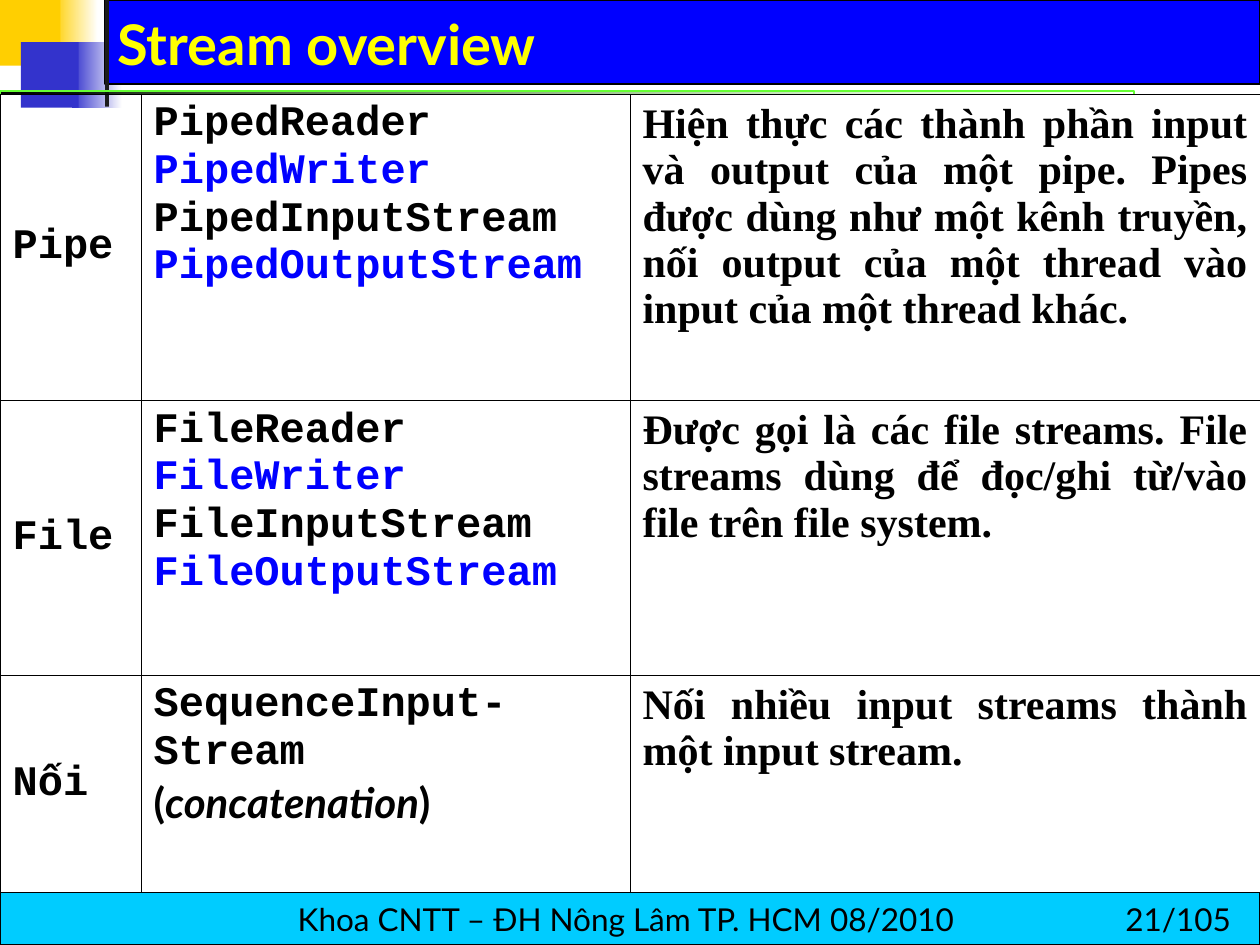
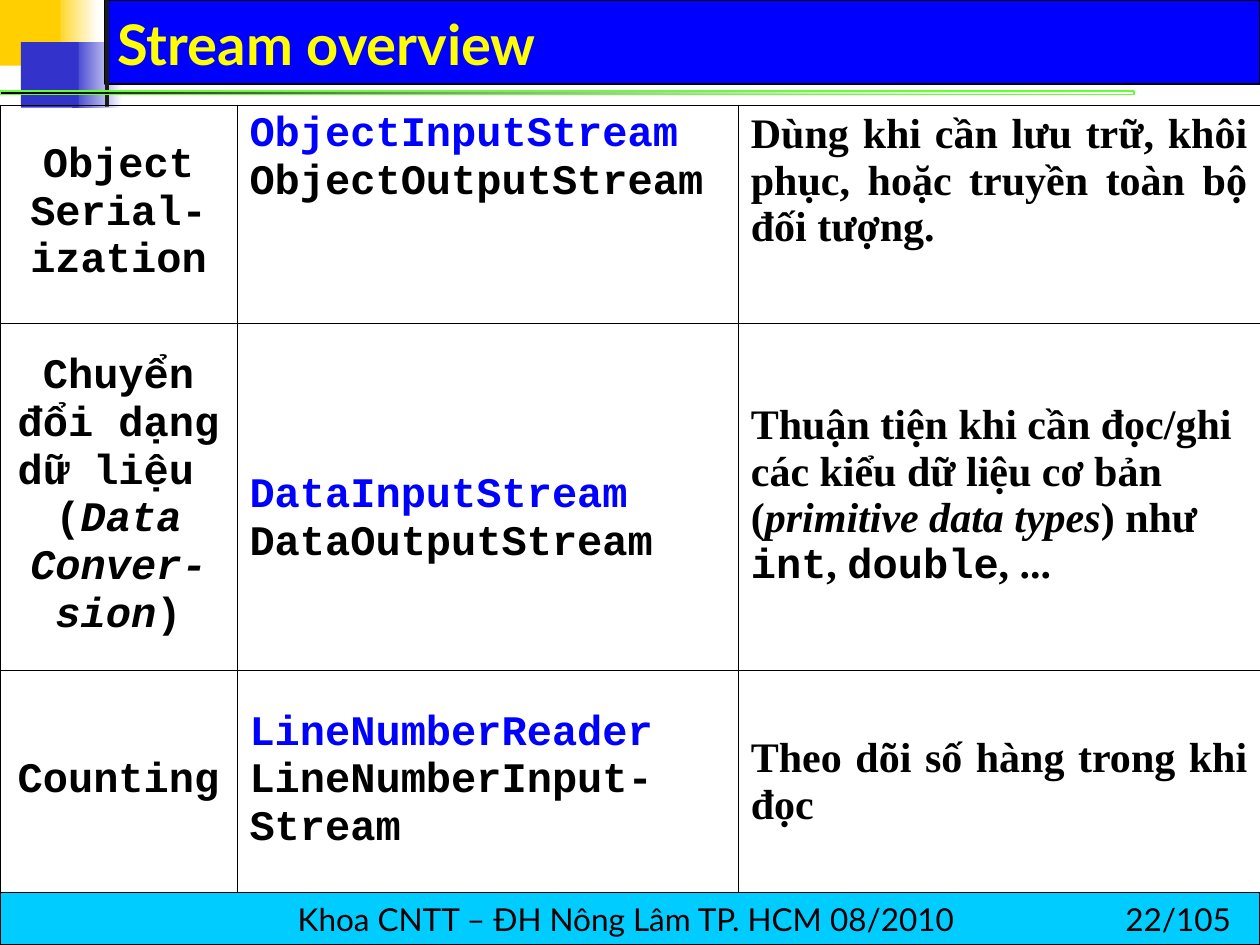
from lxml import etree
from pptx import Presentation
from pptx.dml.color import RGBColor
from pptx.enum.shapes import MSO_SHAPE
from pptx.enum.text import MSO_ANCHOR, PP_ALIGN
from pptx.oxml.ns import qn
from pptx.util import Pt

RECT = MSO_SHAPE.RECTANGLE
LEFT, CENTER, JUSTIFY = PP_ALIGN.LEFT, PP_ALIGN.CENTER, PP_ALIGN.JUSTIFY
TOP, MIDDLE, BOTTOM = MSO_ANCHOR.TOP, MSO_ANCHOR.MIDDLE, MSO_ANCHOR.BOTTOM

COLORS = {
    "black": "000000", "white": "FFFFFF", "blue": "0000FF", "yellow": "FFFF00",
    "gold": "FFCF01", "indigo": "3333CC", "charcoal": "1C1C1C",
    "green": "66FF33", "cyan": "00CCFF",
}
SANS, MONO, SERIF = "Lato", "Courier New", "Times New Roman"

# font, size, colour, bold, italic
STYLES = {
    "title": (SANS, 32, "yellow", True, False),
    "footer": (SANS, 18, "black", False, False),
    "code": (MONO, 24, "black", True, False),
    "code_blue": (MONO, 24, "blue", True, False),
    "code_italic": (MONO, 24, "black", True, True),
    "prose": (SERIF, 24, "black", True, False),
    "prose_italic": (SERIF, 24, "black", True, True),
    "sans": (SANS, 24, "black", True, False),
    "sans_italic": (SANS, 24, "black", True, True),
}

TITLE = "Stream overview"
FOOTER = "Khoa CNTT – ĐH Nông Lâm TP. HCM 08/2010 "
PAGE_COUNT = 105

# A cell is (alignment, anchor, paragraphs); a paragraph is a list of (text, style) runs.
PIPE_ROWS = [
    [(LEFT, MIDDLE, [[("Pipe", "code")]]),
     (LEFT, TOP, [[("PipedReader\n", "code"), ("PipedWriter", "code_blue")],
                  [("PipedInputStream\n", "code"), ("PipedOutputStream", "code_blue")]]),
     (JUSTIFY, TOP, [[("Hiện thực các thành phần input và output của một pipe. Pipes được "
                       "dùng như một kênh truyền, nối output của một thread vào input của "
                       "một thread khác.", "prose")]])],
    [(LEFT, MIDDLE, [[("File", "code")]]),
     (LEFT, TOP, [[("FileReader\n", "code"), ("FileWriter", "code_blue")],
                  [("FileInputStream\n", "code"), ("FileOutputStream", "code_blue")]]),
     (JUSTIFY, TOP, [[("Được gọi là các file streams. File streams dùng để đọc/ghi từ/vào "
                       "file trên file system.", "prose")]])],
    [(LEFT, MIDDLE, [[("Nối", "code")]]),
     (LEFT, TOP, [[("SequenceInput-\nStream", "code")],
                  [("(", "sans"), ("concatenation", "sans_italic"), (")", "sans")]]),
     (JUSTIFY, TOP, [[("Nối nhiều input streams thành một input stream.", "prose")]])],
]
OBJECT_ROWS = [
    [(CENTER, MIDDLE, [[("Object\nSerial-\nization", "code")]]),
     (LEFT, TOP, [[("ObjectInputStream\n", "code_blue"), ("ObjectOutputStream", "code")]]),
     (JUSTIFY, TOP, [[("Dùng khi cần lưu trữ, khôi phục, hoặc truyền toàn bộ đối tượng.",
                       "prose")]])],
    [(CENTER, MIDDLE, [[("Chuyển đổi dạng dữ liệu  (", "code"),
                        ("Data Conver-sion", "code_italic"), (")", "code")]]),
     (LEFT, MIDDLE, [[("DataInputStream\n", "code_blue"), ("DataOutputStream", "code")]]),
     (LEFT, MIDDLE, [[("Thuận tiện khi cần đọc/ghi các kiểu dữ liệu cơ bản (", "prose"),
                      ("primitive data types", "prose_italic"), (") như ", "prose"),
                      ("int", "code"), (", ", "prose"), ("double", "code"),
                      (", ...", "prose")]])],
    [(CENTER, MIDDLE, [[("Counting", "code")]]),
     (LEFT, MIDDLE, [[("LineNumberReader", "code_blue"),
                      (" LineNumberInput-\nStream", "code")]]),
     (JUSTIFY, MIDDLE, [[("Theo dõi số hàng trong khi đọc", "prose")]])],
]
# The last column and row take the space that is left.
SLIDES = [
    {"page": 21, "top": 54, "widths": [80.6, 279.4], "heights": [175, 157],
     "rows": PIPE_ROWS, "lowered": {}},
    {"page": 22, "top": 60, "widths": [135.4, 286.5], "heights": [124.6, 198.7],
     "rows": OBJECT_ROWS, "lowered": {(1, 1): 27}},
]

WIDTH, HEIGHT = 720, 540
FOOTER_TOP = 510
BAND_LEFT = 60
PAD_X, PAD_Y = 7.2, 3.6
BORDER = 0.45


def rgb(name):
    return RGBColor.from_string(COLORS[name])


def write(frame, paragraphs, align=LEFT):
    for index, runs in enumerate(paragraphs):
        paragraph = frame.paragraphs[0] if index == 0 else frame.add_paragraph()
        paragraph.alignment = align
        for text, style in runs:
            font_name, size, color, bold, italic = STYLES[style]
            for number, line in enumerate(text.split("\n")):
                if number:
                    paragraph.add_line_break()
                if line:
                    run = paragraph.add_run()
                    run.text = line
                    run.font.name, run.font.size = font_name, Pt(size)
                    run.font.bold, run.font.italic = bold, italic
                    run.font.color.rgb = rgb(color)


def pad(box, extra_top=0):
    """Set the inner margins of a text frame or table cell."""
    box.margin_left = box.margin_right = Pt(PAD_X)
    box.margin_top, box.margin_bottom = Pt(PAD_Y + extra_top), Pt(PAD_Y)


def add_bar(slide, box, fill, line=None, line_width=0.75):
    """Draw a rectangle; a pair of fills fades from the right to the left."""
    bar = slide.shapes.add_shape(RECT, *map(Pt, box))
    bar.shadow.inherit = False
    if isinstance(fill, tuple):
        bar.fill.gradient()
        bar.fill.gradient_angle = 180
        for stop, color in zip(bar.fill.gradient_stops, fill):
            stop.color.rgb = rgb(color)
    else:
        bar.fill.solid()
        bar.fill.fore_color.rgb = rgb(fill)
    if line:
        bar.line.color.rgb = rgb(line)
        bar.line.width = Pt(line_width)
    else:
        bar.line.fill.background()
    return bar


def add_text(slide, box, text, style, anchor=TOP):
    frame = slide.shapes.add_textbox(*map(Pt, box)).text_frame
    frame.word_wrap = True
    frame.vertical_anchor = anchor
    pad(frame)
    write(frame, [[(text, style)]])


def add_frame(slide, page):
    """Draw the ornament, title band, rule and footer that every slide has."""
    add_bar(slide, (30, 0, 26, 37.5), ("white", "gold"))
    add_bar(slide, (41, 24, 29, 37.5), ("white", "indigo"))
    add_bar(slide, (BAND_LEFT, 0, WIDTH - BAND_LEFT, 48), "blue", "black")
    add_bar(slide, (0, 0, 34.5, 37.5), "gold")
    add_bar(slide, (12, 24, 33, 37.5), "indigo")
    add_bar(slide, (BAND_LEFT, 0, 2.3, 61), "charcoal")
    rule = add_bar(slide, (0, 52, 648, 2), ("green", "black"), "green", 0)
    clear_end = rule.element.xpath(".//a:gs[1]/a:srgbClr")[0]
    etree.SubElement(clear_end, qn("a:alpha"), val="0")

    footer = add_bar(slide, (0, FOOTER_TOP, WIDTH, HEIGHT - FOOTER_TOP), "cyan", "black")
    footer.text_frame.word_wrap = False
    footer.text_frame.vertical_anchor = MIDDLE
    pad(footer.text_frame)
    write(footer.text_frame, [[(FOOTER, "footer")]], CENTER)
    add_text(slide, (636, 511, 84, 29), f"{page}/{PAGE_COUNT}", "footer")
    add_text(slide, (BAND_LEFT, 6, 643.5, 41.5), TITLE, "title", BOTTOM)


def add_borders(cell):
    properties = cell._tc.get_or_add_tcPr()
    for index, side in enumerate(("lnL", "lnR", "lnT", "lnB")):
        line = etree.Element(qn(f"a:{side}"), w=str(Pt(BORDER)))
        fill = etree.SubElement(line, qn("a:solidFill"))
        etree.SubElement(fill, qn("a:srgbClr"), val=COLORS["black"])
        properties.insert(index, line)


def add_stream_table(slide, content):
    rows, top = content["rows"], content["top"]
    height = FOOTER_TOP - top
    widths = content["widths"] + [WIDTH - sum(content["widths"])]
    heights = content["heights"] + [height - sum(content["heights"])]
    table = slide.shapes.add_table(len(rows), len(widths), Pt(0), Pt(top),
                                   Pt(WIDTH), Pt(height)).table
    table.first_row = table.horz_banding = False
    for column, width in zip(table.columns, widths):
        column.width = Pt(width)
    for r, row in enumerate(rows):
        table.rows[r].height = Pt(heights[r])
        for c, (align, anchor, paragraphs) in enumerate(row):
            cell = table.cell(r, c)
            cell.fill.background()
            cell.vertical_anchor = anchor
            pad(cell, content["lowered"].get((r, c), 0))
            add_borders(cell)
            write(cell.text_frame, paragraphs, align)


def main():
    deck = Presentation()
    deck.slide_width, deck.slide_height = Pt(WIDTH), Pt(HEIGHT)
    for content in SLIDES:
        slide = deck.slides.add_slide(deck.slide_layouts[6])
        add_frame(slide, content["page"])
        add_stream_table(slide, content)
    deck.save("out.pptx")


if __name__ == "__main__":
    main()
